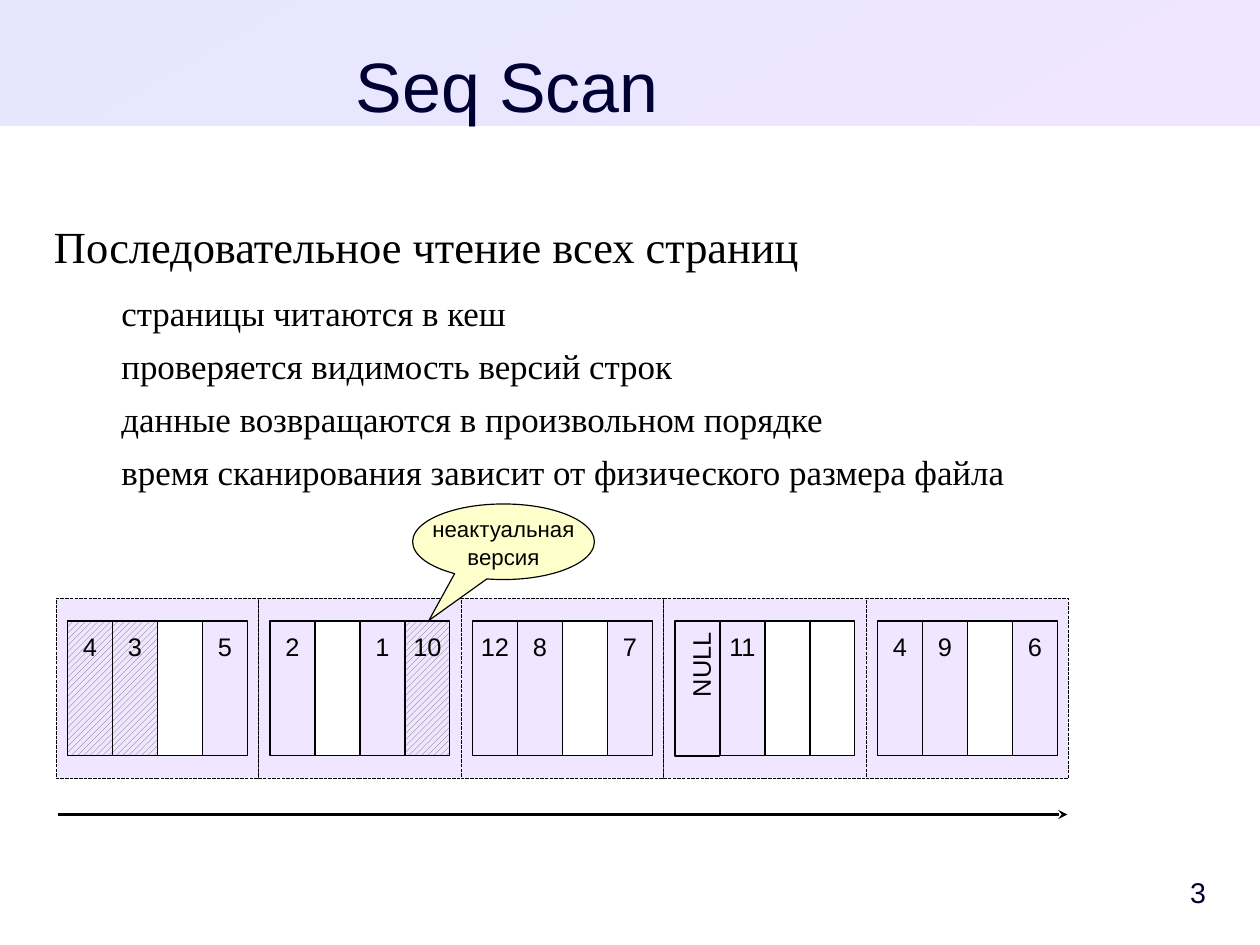
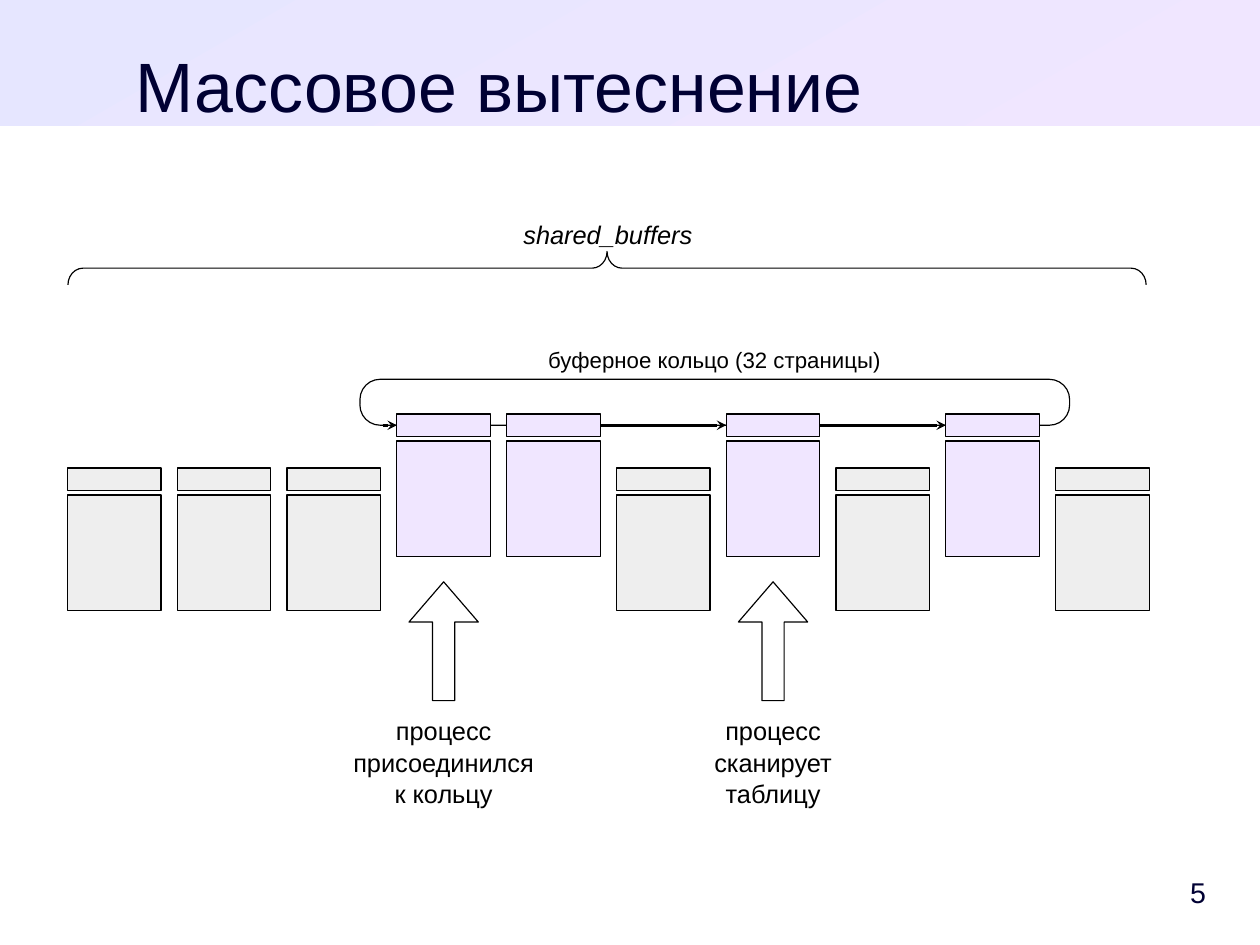
from lxml import etree
from pptx import Presentation
from pptx.dml.color import RGBColor
from pptx.enum.dml import MSO_LINE, MSO_PATTERN
from pptx.enum.shapes import MSO_CONNECTOR, MSO_SHAPE
from pptx.enum.text import MSO_ANCHOR, MSO_AUTO_SIZE, PP_ALIGN
from pptx.oxml.ns import qn
from pptx.util import Cm, Pt

LEFT, CENTER, RIGHT = PP_ALIGN.LEFT, PP_ALIGN.CENTER, PP_ALIGN.RIGHT
TOP, MIDDLE = MSO_ANCHOR.TOP, MSO_ANCHOR.MIDDLE
RECTANGLE, ROUNDED = MSO_SHAPE.RECTANGLE, MSO_SHAPE.ROUNDED_RECTANGLE
CALLOUT, BRACE = MSO_SHAPE.OVAL_CALLOUT, MSO_SHAPE.LEFT_BRACE
UP_ARROW = MSO_SHAPE.UP_ARROW
STRAIGHT = MSO_CONNECTOR.STRAIGHT
DASH = MSO_LINE.SQUARE_DOT
HATCH = MSO_PATTERN.WIDE_UPWARD_DIAGONAL
NO_AUTOFIT = MSO_AUTO_SIZE.NONE

COLORS = {
    "white": "FFFFFF", "black": "000000", "navy": "000033", "blue": "E6E6FF",
    "lilac": "F0E6FF", "gray": "EEEEEE", "hatch": "666666", "yellow": "FFFFCC",
}
SANS, SERIF = "Arial", "Times New Roman"

# The slide is a grid of square cells
COLUMNS, ROWS = 28, 21
TITLE_ONLY = 5


def grid(*counts):
    """Turn numbers of grid cells into lengths."""
    return [Cm(count) for count in counts]


def color(name):
    return RGBColor.from_string(COLORS[name])


def write_text(frame, text, size=16, font=SANS, ink="black", align=CENTER,
               anchor=TOP, insets=(0, 0, 0, 0), wrap=True, italic=False,
               after=0, sub_size=None, sub_after=0, sub_indent=0):
    """Write one paragraph a line; with sub_size, later lines are sub-items."""
    frame.auto_size, frame.word_wrap = NO_AUTOFIT, wrap
    frame.vertical_anchor = anchor
    (frame.margin_left, frame.margin_top,
     frame.margin_right, frame.margin_bottom) = grid(*insets)
    for index, line in enumerate(text.split("\n")):
        para = frame.add_paragraph() if index else frame.paragraphs[0]
        is_sub = bool(index and sub_size)
        if is_sub:
            para.level = 1
            properties = para._p.get_or_add_pPr()
            properties.set("marL", str(Cm(sub_indent)))
            properties.set("indent", "0")
        para.alignment, para.line_spacing = align, 1.05
        para.space_before = Pt(0)
        para.space_after = Pt(sub_after if is_sub else after)
        span = para.add_run()
        span.text = line
        span.font.size = Pt(sub_size if is_sub else size)
        span.font.name, span.font.italic = font, italic
        span.font.color.rgb = color(ink)


class SlideBuilder:
    """Holds the deck, its style and the current slide."""

    def __init__(self):
        self.deck = Presentation()
        self.deck.slide_width, self.deck.slide_height = grid(COLUMNS, ROWS)
        self.layout = self.deck.slide_layouts[TITLE_ONLY]
        self.page = None

    def new_slide(self, title, number, title_width):
        self.page = self.deck.slides.add_slide(self.layout)
        if len(self.deck.slides) == 1:
            self.add_band()
        box = self.page.shapes.title
        box.left, box.top, box.width, box.height = grid(1.2, 0.75, title_width, 1.8)
        write_text(box.text_frame, title, size=44, ink="navy", insets=(0, 0.1, 0, 0))
        self.text(24.6, 19.2, 2.2, 1.2, str(number), size=18, ink="navy",
                  align=RIGHT, anchor=MIDDLE, insets=(0.25, 0.13, 0, 0.13))

    def add_band(self):
        """Make the title band and move it to the shared layout."""
        band = self.shape(0, 0, COLUMNS, 2.8, line=False)
        band.fill.gradient()
        band.fill.gradient_angle = 300
        for stop, name in zip(band.fill.gradient_stops, ("blue", "lilac")):
            stop.color.rgb = color(name)
        self.layout.shapes.element.insert(2, band.element)

    def shape(self, left, top, width, height, kind=RECTANGLE, fill=None,
              line=True, dash=None, hatched=False, adjust=(), rotation=0):
        box = self.page.shapes.add_shape(kind, *grid(left, top, width, height))
        box.shadow.inherit = False
        box.rotation = rotation
        for index, value in enumerate(adjust):
            box.adjustments[index] = value
        if fill is None:
            box.fill.background()
        elif hatched:
            box.fill.patterned()
            box.fill.pattern = HATCH
            box.fill.fore_color.rgb = color("hatch")
            box.fill.back_color.rgb = color(fill)
        else:
            box.fill.solid()
            box.fill.fore_color.rgb = color(fill)
        if line:
            box.line.color.rgb = color("black")
            box.line.width = Pt(0)
            if dash:
                box.line.dash_style = dash
        else:
            box.line.fill.background()
        return box

    def text(self, left, top, width, height, text, **style):
        box = self.page.shapes.add_textbox(*grid(left, top, width, height))
        write_text(box.text_frame, text, **style)

    def arrow(self, start, end, row, width=0):
        """Draw a level arrow from one column to another."""
        arrow = self.page.shapes.add_connector(STRAIGHT, *grid(start, row, end, row))
        arrow.line.color.rgb = color("black")
        arrow.line.width = Pt(width)
        etree.SubElement(arrow.line._get_or_add_ln(), qn("a:tailEnd"), type="stealth")
        etree.SubElement(arrow._element.spPr, qn("a:effectLst"))

    def row_version(self, left, top, value, hatched=False):
        """Draw one row version of a table page; an empty value is free space."""
        place, style = (left, top, 1, 3), {}
        if value == "NULL":
            place, style = (left - 1, top + 1, 3, 1), {"rotation": 270}
        cell = self.shape(*place, fill="lilac" if value else "white",
                          hatched=hatched, **style)
        if value:
            write_text(cell.text_frame, value, wrap=False,
                       align=RIGHT if style else CENTER,
                       insets=(0.25, 0.2, 0.25, 0.13))

    def buffer(self, left, top, fill):
        """Draw a buffer: a header above its page."""
        self.shape(left, top + 0.6, BUFFER_WIDTH, 2.57, fill=fill)
        self.shape(left, top, BUFFER_WIDTH, 0.51, fill=fill)


# Table pages: a star marks an outdated row version
TABLE_PAGES = [
    ["4*", "3*", "", "5"], ["2", "", "1", "10*"], ["12", "8", "", "7"],
    ["NULL", "11", "", ""], ["4", "9", "", "6"],
]
PAGE_WIDTH, PAGE_LEFT, PAGE_TOP = 4.5, 1.25, 13.3

# Buffers: equal steps, some of them joined in a ring
BUFFER_COUNT, BUFFER_LEFT, BUFFER_STEP, BUFFER_WIDTH = 10, 1.5, 2.44, 2.08
RING = (3, 4, 6, 8)
RING_TOP, CACHE_TOP, RING_ROW = 9.2, 10.4, 9.45


def buffer_left(index):
    return BUFFER_LEFT + index * BUFFER_STEP


def build_seq_scan(builder):
    builder.new_slide("Seq Scan", 3, 20.15)
    builder.text(1.2, 4.8, 25.6, 9.4,
                 "Последовательное чтение всех страниц\n"
                 "страницы читаются в кеш\n"
                 "проверяется видимость версий строк\n"
                 "данные возвращаются в произвольном порядке\n"
                 "время сканирования зависит от физического размера файла",
                 size=28, font=SERIF, align=LEFT, after=11.3,
                 sub_size=22, sub_after=5.7, sub_indent=1.5)

    # Table file and reading order
    for index, values in enumerate(TABLE_PAGES):
        left = PAGE_LEFT + index * PAGE_WIDTH
        builder.shape(left, PAGE_TOP, PAGE_WIDTH, 4, fill="lilac", dash=DASH)
        for column, value in enumerate(values):
            builder.row_version(left + 0.25 + column, PAGE_TOP + 0.5,
                                value.rstrip("*"), hatched=value.endswith("*"))
    builder.arrow(1.3, 23.72, 18.1, width=1.42)

    callout = builder.shape(9.17, 11.2, 4.04, 1.68, CALLOUT, fill="yellow",
                            adjust=(-0.41, 1.04))
    write_text(callout.text_frame, "неактуальная\nверсия", size=14, wrap=False,
               anchor=MIDDLE, insets=(0.25, 0.13, 0.25, 0.13))


def build_buffer_ring(builder):
    builder.new_slide("Массовое вытеснение", 5, 19.8)

    # Buffer cache and the ring inside it
    builder.shape(8, 8.43, 15.77, 1.02, ROUNDED, fill="white", adjust=(0.44,))
    builder.text(8.33, 7.67, 15.1, 0.6, "буферное кольцо (32 страницы)", size=14)
    for index in range(BUFFER_COUNT):
        in_ring = index in RING
        builder.buffer(buffer_left(index), RING_TOP if in_ring else CACHE_TOP,
                       "lilac" if in_ring else "gray")
    builder.arrow(8.5, buffer_left(RING[0]), RING_ROW)
    for start, end in zip(RING[1:], RING[2:]):
        builder.arrow(buffer_left(start) + BUFFER_WIDTH, buffer_left(end), RING_ROW)

    # Brace over the whole cache
    builder.shape(13.12, -6.02, 0.74, 23.96, BRACE, adjust=(0.45, 0.5), rotation=90)
    builder.text(11.35, 4.7, 4.32, 0.9, "shared_buffers", italic=True,
                 insets=(0.25, 0.13, 0.25, 0.13))

    # Processes that point at ring buffers
    for index, label in ((3, "процесс\nприсоединился\nк кольцу"),
                         (6, "процесс\nсканирует\nтаблицу")):
        middle = buffer_left(index) + BUFFER_WIDTH / 2
        builder.shape(middle - 0.77, 12.93, 1.54, 2.64, UP_ARROW, fill="white",
                      adjust=(0.32, 0.58))
        builder.text(middle - 2.25, 15.85, 4.5, 2.1, label)


def main():
    builder = SlideBuilder()
    build_seq_scan(builder)
    build_buffer_ring(builder)
    builder.deck.save("out.pptx")


if __name__ == "__main__":
    main()
